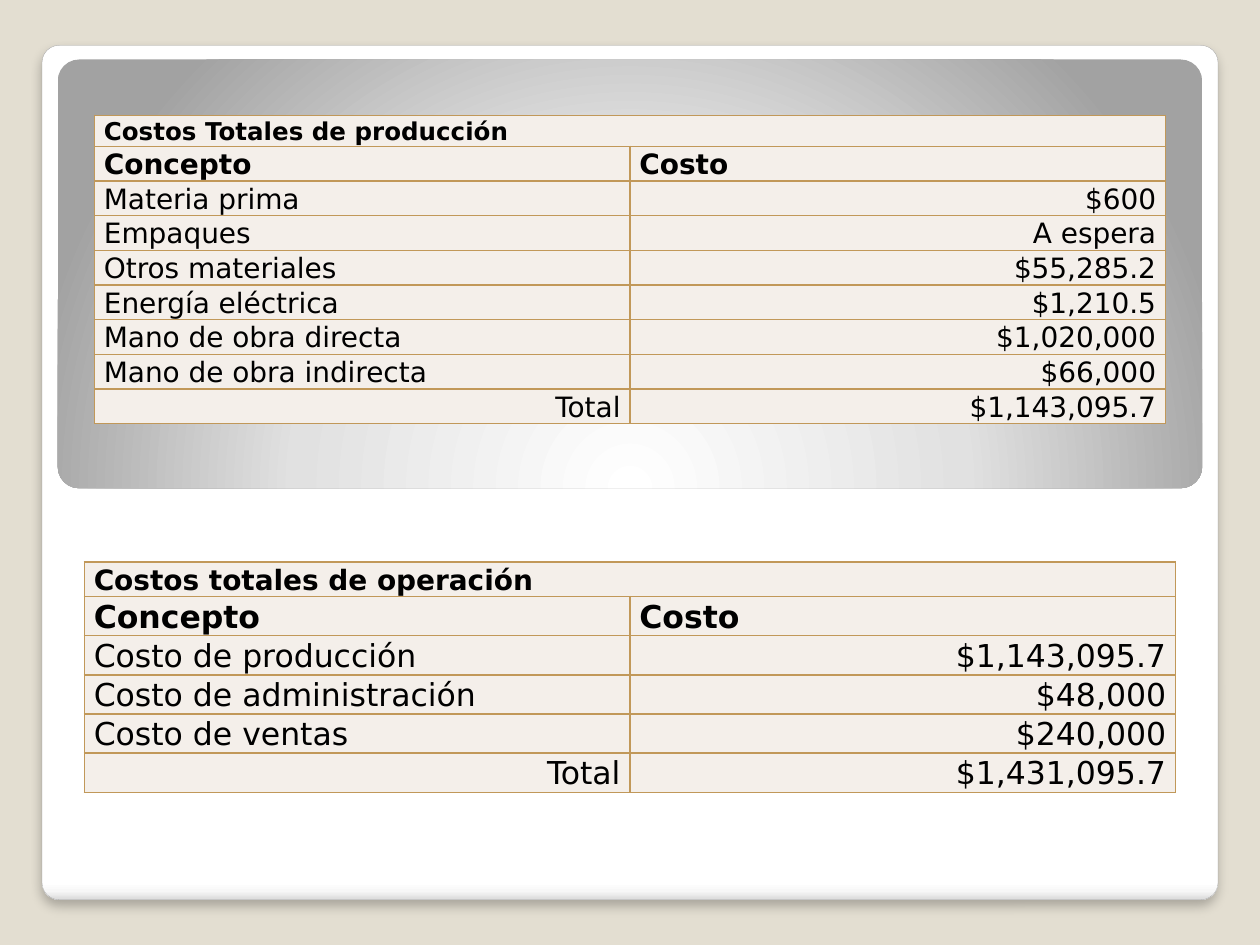
from dataclasses import dataclass

import pptx
import pptx.dml.color
import pptx.enum.shapes
import pptx.enum.text
import pptx.oxml
import pptx.oxml.ns
import pptx.util

Pt = pptx.util.Pt
ALIGN = pptx.enum.text.PP_ALIGN
NS = pptx.oxml.ns.nsdecls("a")
FONT = "DejaVu Sans"
COLORS = {"background": "E3DED1", "cell": "F4EFEA", "border": "C19859",
          "text": "000000", "outline": "A4A4A4", "shadow": "000000"}


@dataclass
class Panel:
    box: tuple[float, float, float, float]
    radius: float
    stops: list[tuple[int, str]]
    direction: str
    raised: bool = False


@dataclass
class CostTable:
    left: float
    top: float
    width: float
    title: str
    title_size: int
    body_size: int
    costs: list[tuple[str, str]]


def rgb(name: str) -> pptx.dml.color.RGBColor:
    return pptx.dml.color.RGBColor.from_string(COLORS[name])


def add_panel(slide, panel: Panel) -> None:
    sp = slide.shapes.add_shape(pptx.enum.shapes.MSO_SHAPE.ROUNDED_RECTANGLE,
                                *[Pt(v) for v in panel.box])
    sp.adjustments[0] = panel.radius
    sp.shadow.inherit = False
    # Gradient fill
    stops = "".join(f'<a:gs pos="{pos * 1000}"><a:srgbClr val="{color}"/></a:gs>'
                    for pos, color in panel.stops)
    gradient = pptx.oxml.parse_xml(
        f'<a:gradFill {NS} rotWithShape="1"><a:gsLst>{stops}</a:gsLst>'
        f'{panel.direction}</a:gradFill>')
    sp.fill.background()
    props = sp.element.spPr
    props.replace(props.find(pptx.oxml.ns.qn("a:noFill")), gradient)
    # Outline and soft shadow
    if not panel.raised:
        sp.line.fill.background()
        return
    sp.line.color.rgb = rgb("outline")
    sp.line.width = Pt(0.16)
    props.find(pptx.oxml.ns.qn("a:effectLst")).append(pptx.oxml.parse_xml(
        f'<a:outerShdw {NS} blurRad="{Pt(6)}" dist="{Pt(4)}" dir="5400000" '
        f'algn="tl" rotWithShape="0"><a:srgbClr val="{COLORS["shadow"]}">'
        '<a:alpha val="25000"/></a:srgbClr></a:outerShdw>'))


def format_cell(cell, text: str, size: int, bold: bool, align) -> None:
    cell.margin_left = cell.margin_right = Pt(5.4)
    cell.margin_top = cell.margin_bottom = 0
    cell.fill.solid()
    cell.fill.fore_color.rgb = rgb("cell")
    for i, side in enumerate(("lnL", "lnR", "lnT", "lnB")):
        cell._tc.get_or_add_tcPr().insert(i, pptx.oxml.parse_xml(
            f'<a:{side} {NS} w="{Pt(1)}"><a:solidFill>'
            f'<a:srgbClr val="{COLORS["border"]}"/></a:solidFill></a:{side}>'))
    p = cell.text_frame.paragraphs[0]
    p.text = text
    p.alignment = align
    p.line_spacing = 1.07
    for r in p.runs:
        r.font.name = FONT
        r.font.size = Pt(size)
        r.font.bold = bold
        r.font.color.rgb = rgb("text")


def add_cost_table(slide, data: CostTable) -> None:
    rows = [(data.title, ""), ("Concepto", "Costo"), *data.costs]
    sizes = [data.title_size] + [data.body_size] * (len(rows) - 1)
    heights = [round(size * 1.24, 2) for size in sizes]
    table = slide.shapes.add_table(len(rows), 2, Pt(data.left), Pt(data.top),
                                   Pt(data.width), Pt(sum(heights))).table
    table.cell(0, 0).merge(table.cell(0, 1))
    for i, row in enumerate(rows):
        table.rows[i].height = Pt(heights[i])
        for j, text in enumerate(row):
            right = i > 1 and (j == 1 or text == "Total")
            format_cell(table.cell(i, j), text, sizes[i], i < 2,
                        ALIGN.RIGHT if right else ALIGN.JUSTIFY)


PANELS = [
    Panel((24, 25.9, 672, 488.2), 0.02,
          [(0, "FFFFFF"), (98, "FFFFFF"), (99, "F7F7F7"), (100, "DADADA")],
          '<a:lin ang="5400000" scaled="0"/>', raised=True),
    Panel((33, 34, 654, 245), 0.05,
          [(0, "FFFFFF"), (55, "E1E1E1"), (100, "A2A2A2")],
          '<a:path path="circle"><a:fillToRect l="50000" t="175000" '
          'r="50000" b="-75000"/></a:path>'),
]
TABLES = [
    CostTable(48.2, 321.1, 623.6, "Costos totales de operación", 16, 18, [
        ("Costo de producción", "$1,143,095.7"),
        ("Costo de administración", "$48,000"),
        ("Costo de ventas", "$240,000"),
        ("Total", "$1,431,095.7")]),
    CostTable(54, 66, 612, "Costos Totales de producción", 14, 16, [
        ("Materia prima", "$600"),
        ("Empaques", "A espera"),
        ("Otros materiales", "$55,285.2"),
        ("Energía eléctrica", "$1,210.5"),
        ("Mano de obra directa", "$1,020,000"),
        ("Mano de obra indirecta", "$66,000"),
        ("Total", "$1,143,095.7")]),
]

# Slide and background
prs = pptx.Presentation()
prs.slide_width, prs.slide_height = Pt(720), Pt(540)
slide = prs.slides.add_slide(prs.slide_layouts[6])
slide.background.fill.solid()
slide.background.fill.fore_color.rgb = rgb("background")

# Panels, then the tables on them
for panel in PANELS:
    add_panel(slide, panel)
for data in TABLES:
    add_cost_table(slide, data)

prs.save("out.pptx")
